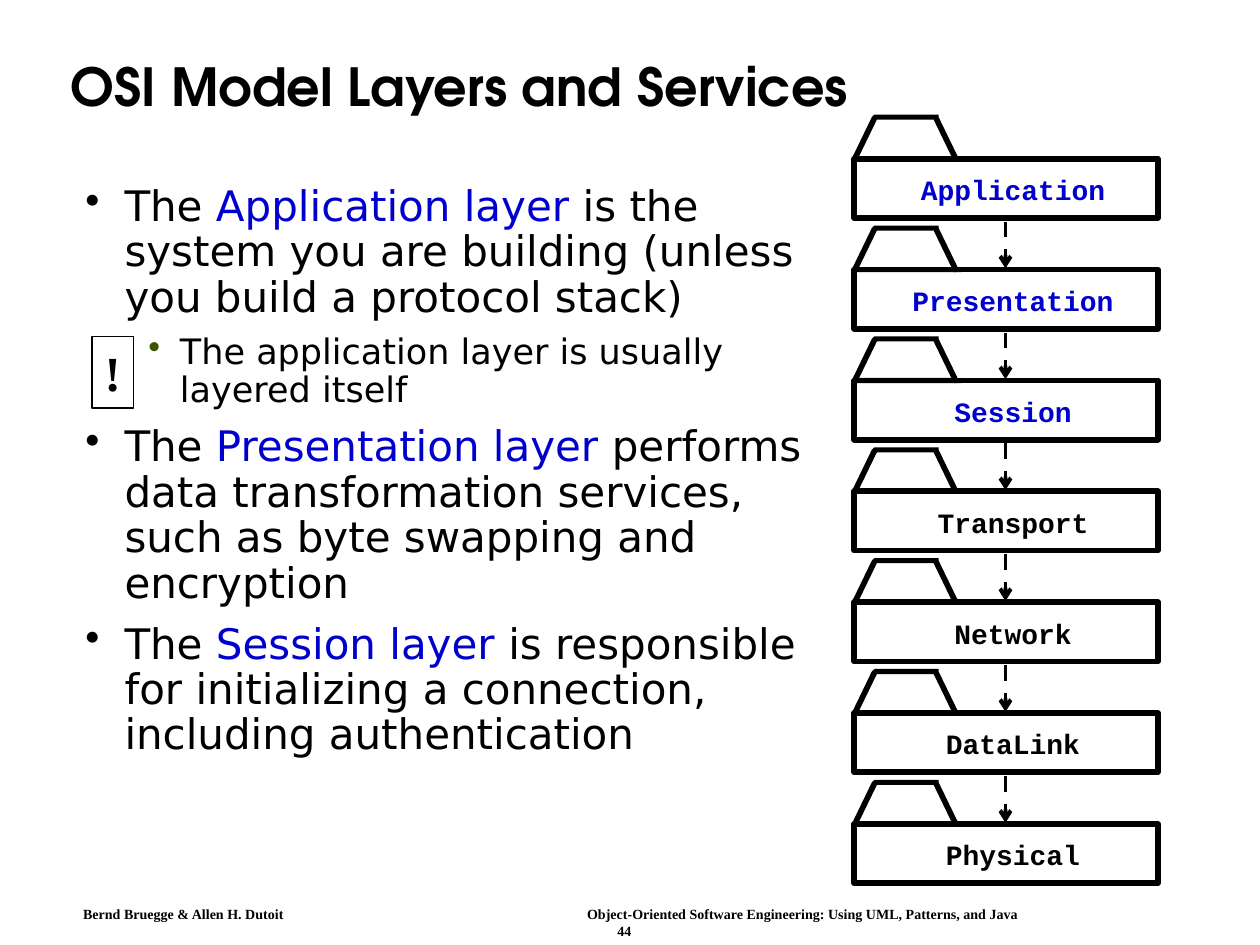
"""Build the slide on OSI layers and their services."""
from lxml import etree
from pptx import Presentation
from pptx.dml.color import RGBColor
from pptx.enum.dml import MSO_LINE
from pptx.enum.shapes import MSO_CONNECTOR, MSO_SHAPE
from pptx.enum.text import MSO_ANCHOR, PP_ALIGN
from pptx.oxml.ns import qn
from pptx.util import Inches, Pt

DASH = MSO_LINE.DASH
STRAIGHT = MSO_CONNECTOR.STRAIGHT
RECT = MSO_SHAPE.RECTANGLE
MIDDLE = MSO_ANCHOR.MIDDLE
LEFT, CENTER = PP_ALIGN.LEFT, PP_ALIGN.CENTER

COLORS = {"black": "000000", "blue": "0000CC", "olive": "3D5500"}
SERIF, SANS = "Times New Roman", "DejaVu Sans"
HEAD, MONO = "TeX Gyre Adventor", "Courier New"

LAYERS = [
    ("Application", "blue"), ("Presentation", "blue"), ("Session", "blue"),
    ("Transport", "black"), ("Network", "black"),
    ("DataLink", "black"), ("Physical", "black"),
]
TOP, PITCH = 0.91, 0.88
BARS = [
    [(6.76, 0.35), (6.8, 0.37), (6.96, 0.04), (6.94, 0), (6.92, 0.02)],
    [(6.94, 0), (6.94, 0.04), (7.43, 0.04), (7.45, 0.02), (7.45, 0)],
    [(7.45, 0.02), (7.41, 0.04), (7.57, 0.37), (7.63, 0.37), (7.61, 0.35)],
    [(7.59, 0.37), (7.59, 0.33), (6.78, 0.33), (6.76, 0.35), (6.76, 0.37)],
]
POINTS = [
    (0, [("The ", "black"), ("Application layer", "blue"),
         (" is the system you are building "
          "(unless you build a protocol stack)", "black")]),
    (1, [("The application layer is usually layered itself", "black")]),
    (0, [("The ", "black"), ("Presentation layer", "blue"),
         (" performs data transformation services, "
          "such as byte swapping and encryption", "black")]),
    (0, [("The ", "black"), ("Session layer", "blue"),
         (" is responsible for initializing a connection, "
          "including authentication", "black")]),
]
LEVELS = [
    {"size": 24, "left": 0.31, "hang": 0.31, "space": 9, "dot": "black"},
    {"size": 20, "left": 0.75, "hang": 0.25, "space": 7.5, "dot": "olive"},
]
FOOTER = [
    (0.66, 7.19, 2, "Bernd Bruegge & Allen H. Dutoit"),
    (4.66, 7.19, 3.6,
     "Object-Oriented Software Engineering: Using UML, Patterns, and Java"),
    (4.9, 7.32, 0.3, "44"),
]


def rgb(name):
    """Return the named colour."""
    return RGBColor.from_string(COLORS[name])


def style(font, face, size, color, bold=False):
    """Set the look of a font."""
    font.name, font.size, font.bold = face, Pt(size), bold
    font.color.rgb = rgb(color)


def add_label(slide, at, text, face, size, color="black", align=LEFT):
    """Add one line of bold text without margins."""
    box = slide.shapes.add_textbox(*map(Inches, at))
    frame = box.text_frame
    frame.margin_left = frame.margin_right = 0
    frame.margin_top = frame.margin_bottom = 0
    frame.text = text
    para = frame.paragraphs[0]
    para.alignment = align
    style(para.runs[0].font, face, size, color, True)
    return box


def add_rect(slide, at, width):
    """Add an unfilled black frame."""
    rect = slide.shapes.add_shape(RECT, *map(Inches, at))
    rect.shadow.inherit = False
    rect.fill.background()
    rect.line.color.rgb = rgb("black")
    rect.line.width = Pt(width)
    return rect


def add_bar(slide, points, top):
    """Add one solid bar of a folder tab."""
    spots = [(Inches(x), Inches(top + y)) for x, y in points]
    path = slide.shapes.build_freeform(*spots[0], scale=1.0)
    path.add_line_segments(spots[1:], close=True)
    bar = path.convert_to_shape()
    bar.shadow.inherit = False
    bar.fill.solid()
    bar.fill.fore_color.rgb = rgb("black")
    bar.line.fill.background()


def add_arrow(slide, x, top, bottom):
    """Add a dashed arrow pointing down."""
    arrow = slide.shapes.add_connector(
        STRAIGHT, Inches(x), Inches(top), Inches(x), Inches(bottom))
    arrow.line.color.rgb = rgb("black")
    arrow.line.width = Pt(2.25)
    arrow.line.dash_style = DASH
    etree.SubElement(arrow.line._get_or_add_ln(), qn("a:tailEnd"), type="arrow")
    etree.SubElement(arrow._element.spPr, qn("a:effectLst"))


def add_layer(slide, index, name, color):
    """Add a folder with its tab and name."""
    top = TOP + index * PITCH
    add_rect(slide, (6.78, top + 0.35, 2.41, 0.47), 3.25)
    for points in BARS:
        add_bar(slide, points, top)
    add_label(slide, (7.24, top + 0.46, 1.6, 0.27), name, MONO, 16, color, CENTER)
    if index < len(LAYERS) - 1:
        add_arrow(slide, 7.98, top + 0.85, top + 1.22)


def add_bullet(para, level):
    """Give a paragraph its bullet and hanging indent."""
    props = para._p.get_or_add_pPr()
    props.set("marL", str(Inches(level["left"])))
    props.set("indent", str(-Inches(level["hang"])))
    tint = etree.SubElement(props, qn("a:buClr"))
    etree.SubElement(tint, qn("a:srgbClr"), val=COLORS[level["dot"]])
    etree.SubElement(props, qn("a:buChar"), char="•")


def add_body(slide):
    """Add the bulleted text."""
    box = slide.shapes.add_textbox(*map(Inches, (0.58, 1.42, 6.22, 5.25)))
    frame = box.text_frame
    frame.word_wrap = True
    for index, (depth, parts) in enumerate(POINTS):
        para = frame.add_paragraph() if index else frame.paragraphs[0]
        level = LEVELS[depth]
        para.level = depth
        para.line_spacing = 0.9
        para.space_before = Pt(level["space"] if index else 0)
        add_bullet(para, level)
        for text, color in parts:
            run = para.add_run()
            run.text = text
            style(run.font, SANS, level["size"], color)


def add_title(slide):
    """Add the slide title."""
    box = add_label(slide, (0.56, 0.24, 8.72, 0.94),
                    "OSI Model Layers and Services", HEAD, 30)
    box.text_frame.vertical_anchor = MIDDLE
    box.text_frame.word_wrap = True
    box.text_frame.paragraphs[0].line_spacing = 0.9


def add_mark(slide):
    """Add the framed exclamation mark."""
    mark = add_rect(slide, (0.73, 2.67, 0.33, 0.57), 1)
    frame = mark.text_frame
    frame.word_wrap = False
    frame.vertical_anchor = MIDDLE
    frame.text = "!"
    para = frame.paragraphs[0]
    para.alignment = CENTER
    style(para.runs[0].font, SERIF, 28, "black", True)


def main():
    """Build and save the slide."""
    deck = Presentation()
    deck.slide_width, deck.slide_height = Inches(10), Inches(7.5)
    slide = deck.slides.add_slide(deck.slide_layouts[6])
    for left, top, width, text in FOOTER:
        add_label(slide, (left, top, width, 0.13), text, SERIF, 8)
    add_title(slide)
    add_body(slide)
    for index, (name, color) in enumerate(LAYERS):
        add_layer(slide, index, name, color)
    add_mark(slide)
    deck.save("out.pptx")


if __name__ == "__main__":
    main()
